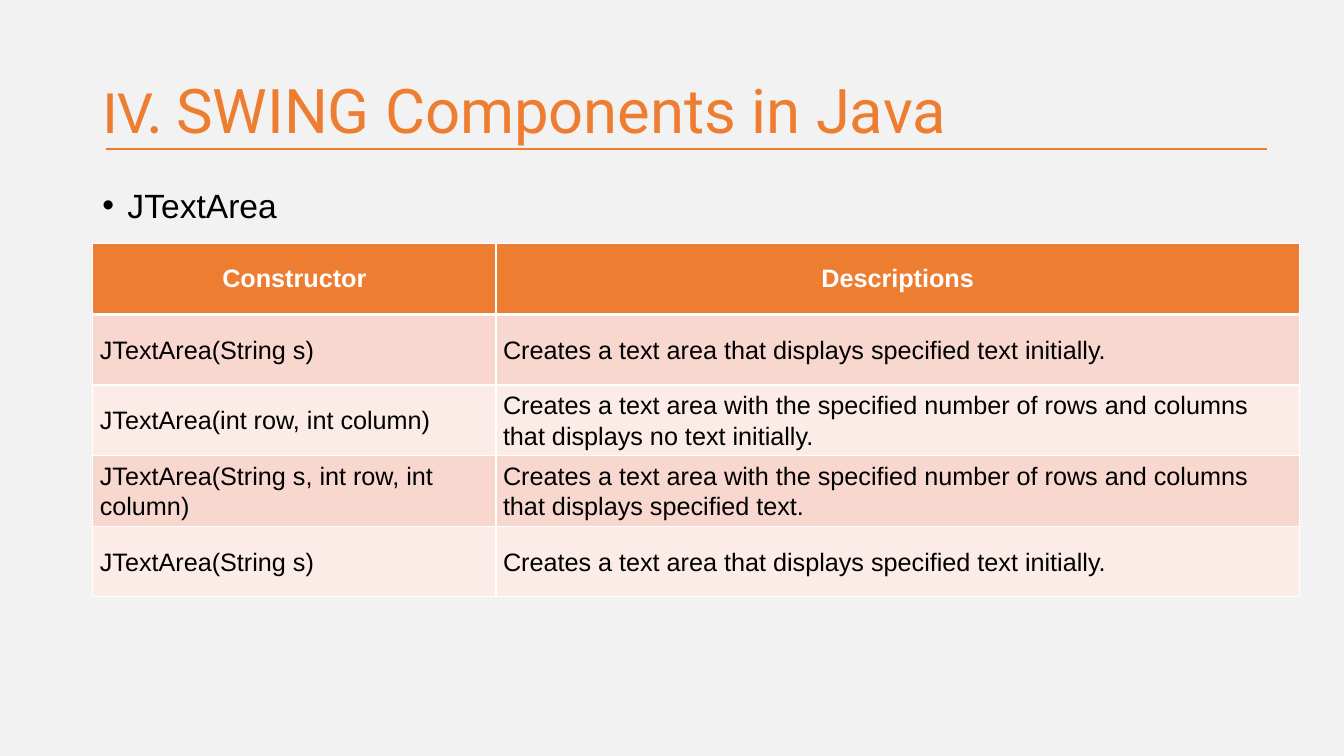
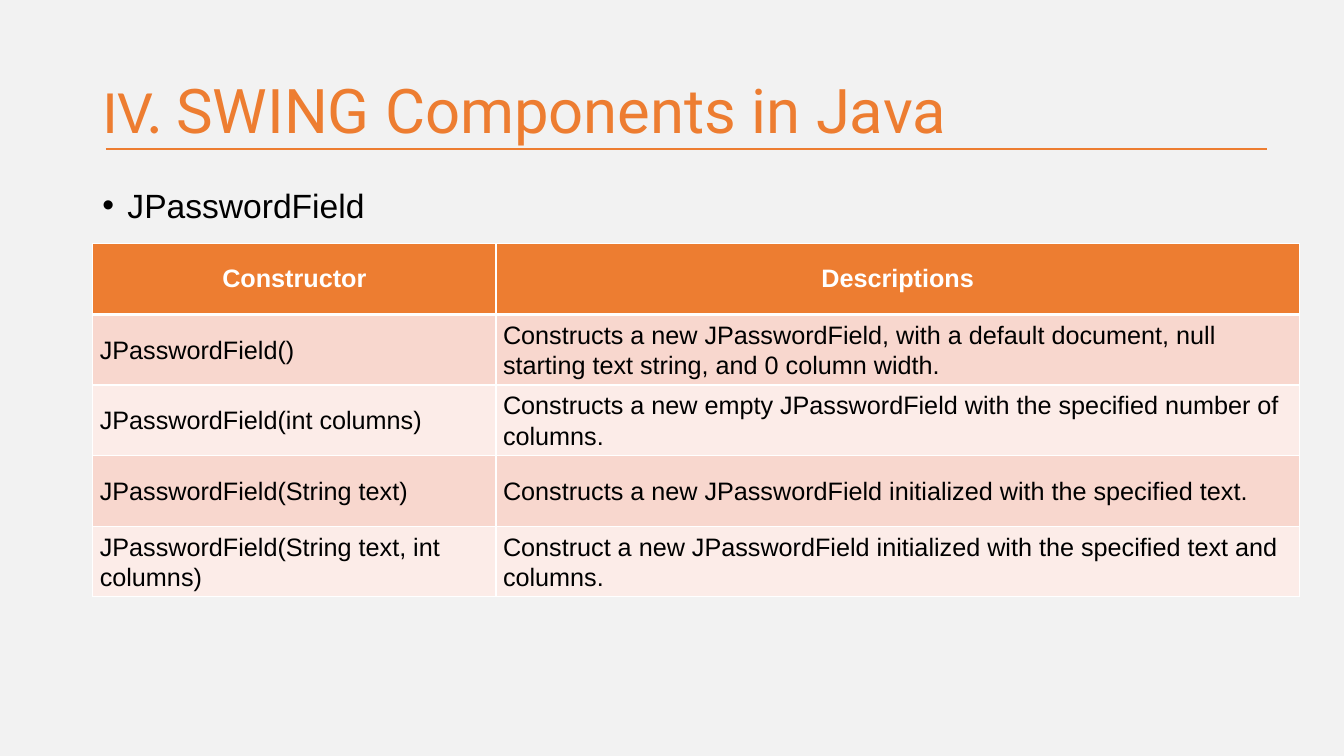
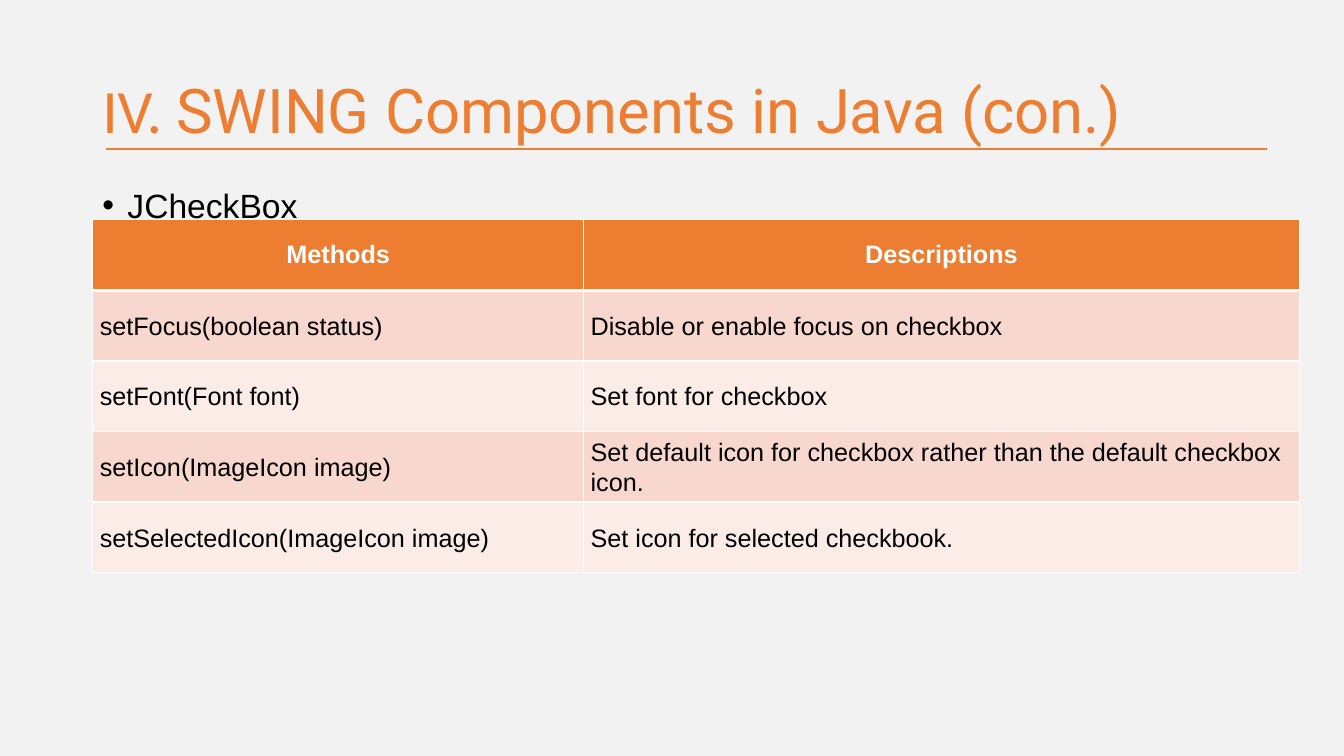
from pptx import Presentation
from pptx.dml.color import RGBColor
from pptx.enum.shapes import MSO_CONNECTOR
from pptx.enum.text import MSO_ANCHOR, PP_ALIGN
from pptx.oxml.ns import qn
from pptx.util import Pt
from lxml.etree import SubElement

ORANGE, WHITE, BLACK, PAPER = "ED7D31", "FFFFFF", "000000", "F2F2F2"
BANDS = ("F8D7CE", "FCECE8")
TITLE_BOX = (66, 28.8, 828, 104.4)
BODY_BOX = (66, 113.8, 828, 411)
RULE_X, RULE_END, RULE_Y = 75.6, 905.2, 106.6
TABLE_X, TABLE_W, ROW_H = 66.3, 861.8, 50.4

SLIDES = [
    {
        "title": "SWING Components in Java",
        "topic": "JTextArea",
        "top": 174.2,
        "first_col": 288,
        "rows": [
            ("Constructor", "Descriptions"),
            ("JTextArea(String s)",
             "Creates a text area that displays specified text initially."),
            ("JTextArea(int row, int column)",
             "Creates a text area with the specified number of rows and columns that displays no text initially."),
            ("JTextArea(String s, int row, int column)",
             "Creates a text area with the specified number of rows and columns that displays specified text."),
            ("JTextArea(String s)",
             "Creates a text area that displays specified text initially."),
        ],
    },
    {
        "title": "SWING Components in Java",
        "topic": "JPasswordField",
        "top": 174.2,
        "first_col": 288,
        "rows": [
            ("Constructor", "Descriptions"),
            ("JPasswordField()",
             "Constructs a new JPasswordField, with a default document, null starting text string, and 0 column width."),
            ("JPasswordField(int columns)",
             "Constructs a new empty JPasswordField with the specified number of columns."),
            ("JPasswordField(String text)",
             "Constructs a new JPasswordField initialized with the specified text."),
            ("JPasswordField(String text, int columns)",
             "Construct a new JPasswordField initialized with the specified text and columns."),
        ],
    },
    {
        "title": "SWING Components in Java (con.)",
        "topic": "JCheckBox",
        "top": 157,
        "first_col": 350.6,
        "rows": [
            ("Methods", "Descriptions"),
            ("setFocus(boolean status)", "Disable or enable focus on checkbox"),
            ("setFont(Font font)", "Set font for checkbox"),
            ("setIcon(ImageIcon image)",
             "Set default icon for checkbox rather than the default checkbox icon."),
            ("setSelectedIcon(ImageIcon image)", "Set icon for selected checkbook."),
        ],
    },
]


def rgb(value):
    return RGBColor.from_string(value)


def style(font, name, size, color, bold=False):
    font.name = name
    font.size = Pt(size)
    font.color.rgb = rgb(color)
    font.bold = bold


def add_text_frame(s, box):
    tf = s.shapes.add_textbox(*map(Pt, box)).text_frame
    tf.word_wrap = True
    return tf


def add_title(s, box, title):
    line = s.shapes.add_connector(
        MSO_CONNECTOR.STRAIGHT, Pt(RULE_X), Pt(RULE_Y), Pt(RULE_END), Pt(RULE_Y))
    line.line.color.rgb = rgb(ORANGE)
    line.line.width = Pt(1.5)
    SubElement(line._element.spPr, qn("a:effectLst"))
    tf = add_text_frame(s, box)
    tf.vertical_anchor = MSO_ANCHOR.MIDDLE
    p = tf.paragraphs[0]
    p.line_spacing = 0.9
    for text, name in (("IV. ", "Calibri"), (title, "Roboto")):
        r = p.add_run()
        r.text = text
        style(r.font, name, 44, ORANGE)


def add_topic(s, box, topic):
    p = add_text_frame(s, box).paragraphs[0]
    p.text = topic
    p.line_spacing = 1.5
    pPr = p._p.get_or_add_pPr()
    pPr.set("marL", str(Pt(18)))
    pPr.set("indent", str(-Pt(18)))
    SubElement(pPr, qn("a:buFont"), typeface="Arial")
    SubElement(pPr, qn("a:buChar"), char="•")
    style(p.runs[0].font, "Arial", 24, BLACK)


def set_borders(cell, top, bottom):
    tcPr = cell._tc.get_or_add_tcPr()
    for side, width in (("L", 1), ("R", 1), ("T", top), ("B", bottom)):
        ln = SubElement(tcPr, qn(f"a:ln{side}"), w=str(Pt(width)))
        SubElement(SubElement(ln, qn("a:solidFill")), qn("a:srgbClr"), val=WHITE)


def format_cell(cell, text, row):
    header = row == 0
    set_borders(cell, 3 if row == 1 else 1, 3 if header else 1)
    cell.fill.solid()
    cell.fill.fore_color.rgb = rgb(ORANGE if header else BANDS[(row - 1) % 2])
    cell.vertical_anchor = MSO_ANCHOR.MIDDLE
    cell.text_frame.text = text
    p = cell.text_frame.paragraphs[0]
    if header:
        p.alignment = PP_ALIGN.CENTER
    else:
        p.line_spacing = 1.07
        cell.margin_left = cell.margin_right = Pt(5)
        cell.margin_top = cell.margin_bottom = Pt(0)
    style(p.runs[0].font, "Arial", 18, WHITE if header else BLACK, header)


def add_reference_table(s, box, first_col, rows):
    x, y, w, h = box
    table = s.shapes.add_table(len(rows), 2, Pt(x), Pt(y), Pt(w), Pt(h)).table
    for column, width in zip(table.columns, (first_col, w - first_col)):
        column.width = Pt(width)
    for i, texts in enumerate(rows):
        table.rows[i].height = Pt(h / len(rows))
        for j, text in enumerate(texts):
            format_cell(table.cell(i, j), text, i)


def add_component_slide(prs, title, topic, top, first_col, rows):
    s = prs.slides.add_slide(prs.slide_layouts[6])
    add_title(s, TITLE_BOX, title)
    add_topic(s, BODY_BOX, topic)
    add_reference_table(s, (TABLE_X, top, TABLE_W, ROW_H * len(rows)), first_col, rows)


def main():
    prs = Presentation()
    prs.slide_width, prs.slide_height = Pt(960), Pt(540)
    background = prs.slide_master.background.fill
    background.solid()
    background.fore_color.rgb = rgb(PAPER)
    for content in SLIDES:
        add_component_slide(prs, **content)
    prs.save("out.pptx")


if __name__ == "__main__":
    main()
